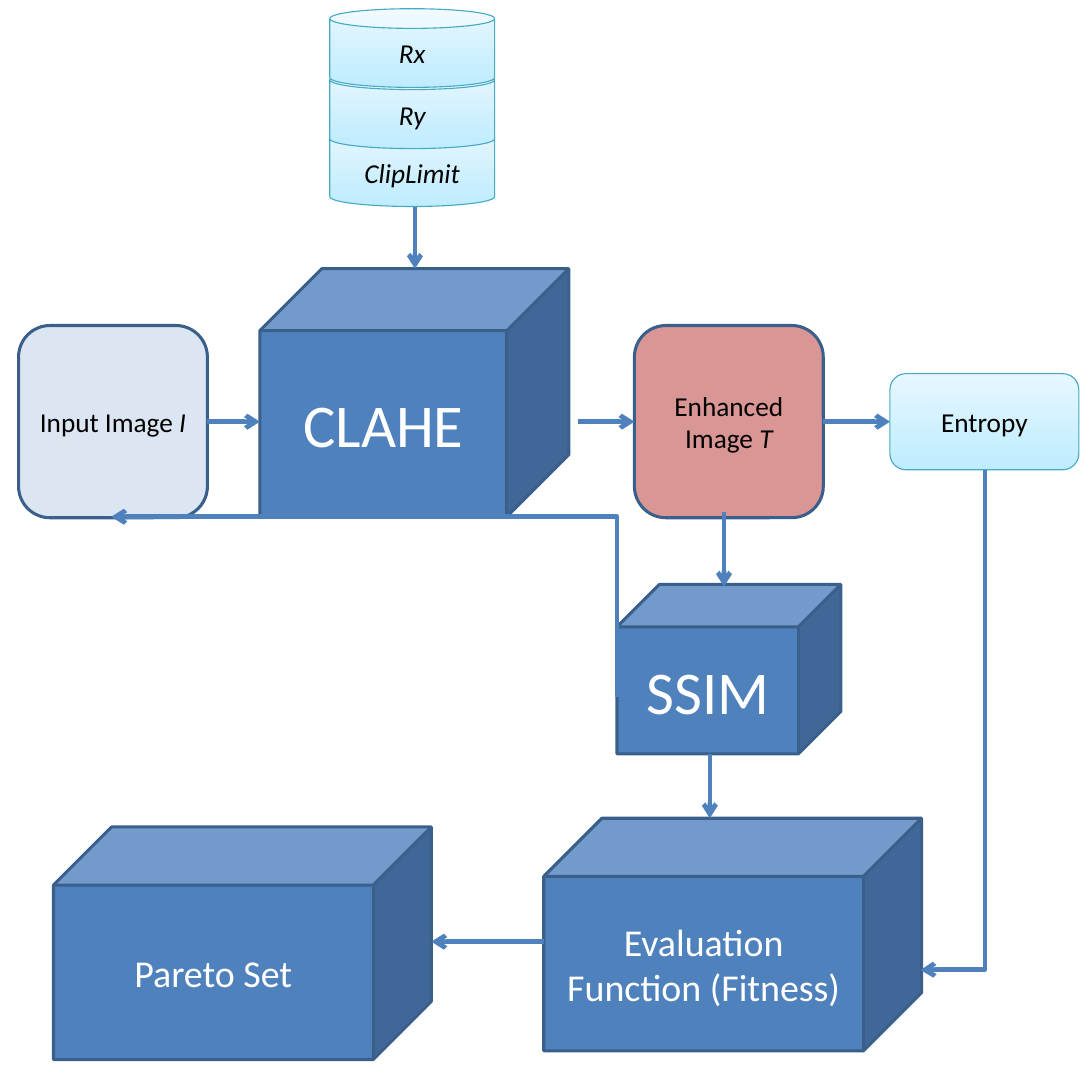
"""Build the flow diagram of multi-objective CLAHE image enhancement."""
import pptx
import pptx.dml.color
import pptx.enum.shapes
import pptx.enum.text
import pptx.oxml.ns
import pptx.util
from lxml import etree

Inches = pptx.util.Inches
Pt = pptx.util.Pt
qn = pptx.oxml.ns.qn
SHAPE = pptx.enum.shapes.MSO_SHAPE
CONNECTOR = pptx.enum.shapes.MSO_CONNECTOR

COLORS = {
    "blue": "4F81BD", "navy": "3A5F8B", "pale": "DCE6F2", "rose": "D99694",
    "teal": "46AAC4", "sky": "BFECFF", "mist": "E6F7FF",
    "white": "FFFFFF", "black": "000000",
}
STYLES = {
    "cube": (SHAPE.CUBE, ["blue"], "navy", 2, "white"),
    "input": (SHAPE.ROUNDED_RECTANGLE, ["pale"], "navy", 2, "black"),
    "output": (SHAPE.ROUNDED_RECTANGLE, ["rose"], "navy", 2, "black"),
    "metric": (SHAPE.ROUNDED_RECTANGLE, ["sky", "mist"], "teal", 0.75, "black"),
    "can": (SHAPE.CAN, ["sky", "mist"], "teal", 0.75, "black"),
}
BOXES = [
    ("clahe", "cube", (2.38, 2.46, 2.83, 2.27), 40, [("CLAHE", False)]),
    ("input", "input", (0.17, 2.98, 1.73, 1.76), 18, [("Input Image ", False), ("I", True)]),
    ("enhanced", "output", (5.81, 2.98, 1.73, 1.76), 18, [("Enhanced Image ", False), ("T", True)]),
    ("ssim", "cube", (5.65, 5.35, 2.05, 1.55), 40, [("SSIM", False)]),
    ("entropy", "metric", (8.15, 3.42, 1.73, 0.88), 18, [("Entropy", False)]),
    ("fitness", "cube", (4.98, 7.49, 3.46, 2.13), 25, [("Evaluation Function (Fitness)", False)]),
    ("pareto", "cube", (0.49, 7.57, 3.46, 2.13), 25, [("Pareto Set", False)]),
]
PARAMETERS = [("ClipLimit", 1.17), ("Ry", 0.64), ("Rx", 0.08)]
ARROWS = [
    ((1.9, 3.86), (2.38, 3.86), ("input", 3), None),
    ((5.29, 3.86), (5.81, 3.86), None, ("enhanced", 1)),
    ((7.54, 3.86), (8.15, 3.86), ("enhanced", 3), ("entropy", 1)),
    ((6.5, 6.9), (6.5, 7.49), None, None),
    ((3.8, 1.77), (3.8, 2.46), None, None),
    ((4.98, 8.62), (3.95, 8.62), None, None),
    ((6.63, 4.69), (6.63, 5.37), None, None),
]
ELBOWS = [
    ((5.65, 6.38), (1.02, 4.73), "bentConnector2", None),
    ((9.02, 4.3), (8.43, 8.88), "bentConnector3", 99900),
]


def rgb(name):
    return pptx.dml.color.RGBColor.from_string(COLORS[name])


def add_box(page, style, place, size, spans):
    kind, fills, outline, width, ink = STYLES[style]
    box = page.shapes.add_shape(kind, *map(Inches, place))
    box.shadow.inherit = False
    if len(fills) == 1:
        box.fill.solid()
        box.fill.fore_color.rgb = rgb(fills[0])
    else:
        box.fill.gradient()
        box.fill.gradient_angle = 90
        for stop, name in zip(box.fill.gradient_stops, fills):
            stop.color.rgb = rgb(name)
    box.line.color.rgb = rgb(outline)
    box.line.width = Pt(width)
    frame = box.text_frame
    frame.word_wrap = True
    frame.vertical_anchor = pptx.enum.text.MSO_ANCHOR.MIDDLE
    para = frame.paragraphs[0]
    para.alignment = pptx.enum.text.PP_ALIGN.CENTER
    for text, italic in spans:
        span = para.add_run()
        span.text = text
        span.font.name = "Calibri"
        span.font.size = Pt(size)
        span.font.italic = italic
        span.font.color.rgb = rgb(ink)
    return box


def add_link(page, kind, start, end):
    link = page.shapes.add_connector(kind, *map(Inches, start + end))
    link.line.color.rgb = rgb("blue")
    link.line.width = Pt(3)
    etree.SubElement(link.line._get_or_add_ln(), qn("a:tailEnd"), type="arrow")
    etree.SubElement(link._element.spPr, qn("a:effectLst"))
    return link


def add_elbow(page, start, end, preset, bend):
    (x1, y1), (x2, y2) = start, end
    middle_x, middle_y = (x1 + x2) / 2, (y1 + y2) / 2
    half_x, half_y = (y2 - y1) / 2, (x1 - x2) / 2
    link = add_link(page, CONNECTOR.ELBOW,
                    (middle_x - half_x, middle_y - half_y),
                    (middle_x + half_x, middle_y + half_y))
    properties = link._element.spPr
    properties.find(qn("a:xfrm")).set("rot", str(90 * 60000))
    geometry = properties.find(qn("a:prstGeom"))
    geometry.set("prst", preset)
    if bend:
        guides = geometry.find(qn("a:avLst"))
        etree.SubElement(guides, qn("a:gd"), name="adj1", fmla=f"val {bend}")


def main():
    deck = pptx.Presentation()
    deck.slide_width, deck.slide_height = Inches(10), Inches(9.84)
    page = deck.slides.add_slide(deck.slide_layouts[6])
    boxes = {name: add_box(page, *details) for name, *details in BOXES}
    for start, end, source, target in ARROWS:
        arrow = add_link(page, CONNECTOR.STRAIGHT, start, end)
        if source:
            arrow.begin_connect(boxes[source[0]], source[1])
        if target:
            arrow.end_connect(boxes[target[0]], target[1])
    for elbow in ELBOWS:
        add_elbow(page, *elbow)
    for label, top in PARAMETERS:
        add_box(page, "can", (3.02, top, 1.51, 0.72), 18, [(label, True)])
    deck.save("out.pptx")


if __name__ == "__main__":
    main()
